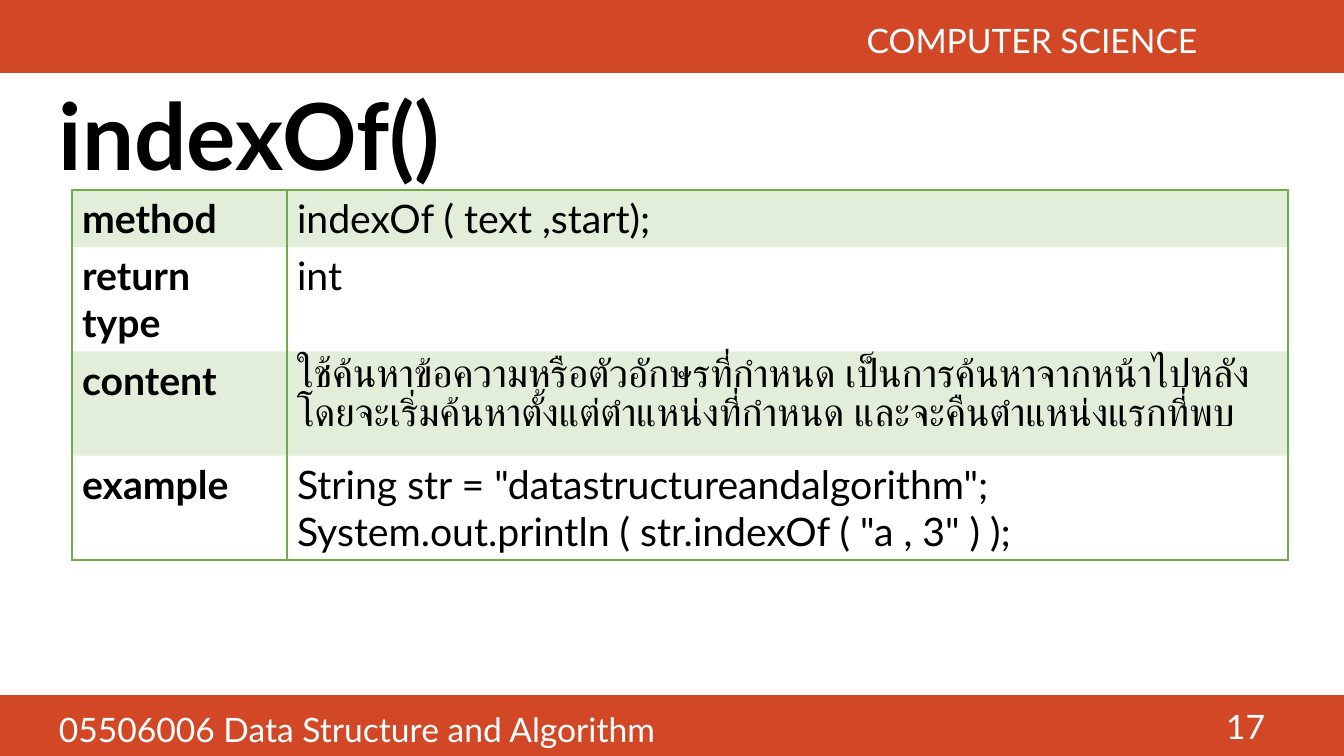
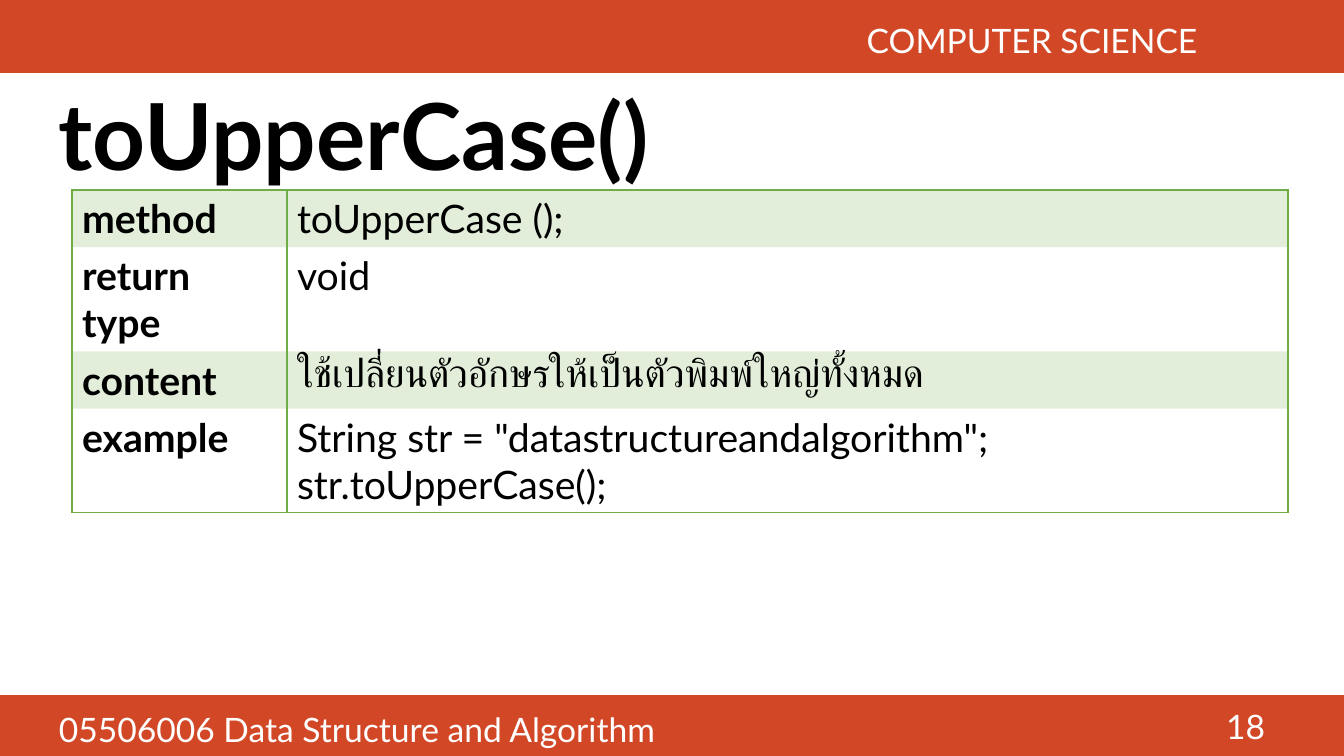
"""Build two slides that describe Java String methods."""
from dataclasses import dataclass

from lxml import etree
from pptx import Presentation
from pptx import util as u
from pptx.dml.color import RGBColor
from pptx.enum import shapes, text
from pptx.oxml import ns
from pptx.slide import Slide
from pptx.table import _Cell
from pptx.text.text import TextFrame

EMU_PER_PIXEL = 914400 / 100.8


@dataclass(frozen=True)
class Theme:
    font: str = "Lato"
    band: str = "D24726"
    accent: str = "70AD47"
    ink: str = "000000"
    paper: str = "FFFFFF"
    title_size: int = 66
    table_size: int = 28
    band_size: int = 24
    border_width: int = 1
    row_tint: int = 20


@dataclass(frozen=True)
class Box:
    left: int
    top: int
    width: int
    height: int

    def emu(self) -> tuple[u.Emu, ...]:
        return tuple(px(side) for side in (self.left, self.top, self.width, self.height))


@dataclass(frozen=True)
class Label:
    words: str
    box: Box
    align: text.PP_ALIGN = text.PP_ALIGN.LEFT
    anchor: text.MSO_ANCHOR = text.MSO_ANCHOR.TOP


@dataclass(frozen=True)
class Row:
    heading: str
    detail: str
    height: int


@dataclass(frozen=True)
class MethodPage:
    number: int
    title: str
    call: str
    returns: str
    content: str
    content_height: int
    example: str

    def rows(self) -> list[Row]:
        return [
            Row("method", self.call, 57),
            Row("return type", self.returns, 104),
            Row("content", self.content, self.content_height),
            Row("example", self.example, 104),
        ]


THEME = Theme()
SLIDE_WIDTH, SLIDE_HEIGHT = 1344, 756
TITLE_BOX = Box(49, 77, 1238, 128)
TABLE_LEFT, TABLE_TOP = 72, 190
COLUMN_WIDTHS = (215, 1001)
BANDS = (Box(0, 695, SLIDE_WIDTH, 61), Box(0, 0, SLIDE_WIDTH, 73))
BAND_LABELS = (
    Label("COMPUTER SCIENCE ", Box(-3, 15, 1219, 54), text.PP_ALIGN.RIGHT),
    Label("05506006 Data Structure and Algorithm", Box(49, 704, 1157, 67)),
)
NUMBER_BOX = Box(973, 706, 302, 40)
PAGES = (
    MethodPage(
        17, "indexOf()", "indexOf ( text ,start);", "int",
        "ใช้ค้นหาข้อความหรือตัวอักษรที่กำหนด เป็นการค้นหาจากหน้าไปหลัง "
        "โดยจะเริ่มค้นหาตั้งแต่ตำแหน่งที่กำหนด และจะคืนตำแหน่งแรกที่พบ",
        88,
        'String str = "datastructureandalgorithm";\n'
        'System.out.println ( str.indexOf ( "a , 3" ) );',
    ),
    MethodPage(
        18, "toUpperCase()", "toUpperCase ();", "void",
        "ใช้เปลี่ยนตัวอักษรให้เป็นตัวพิมพ์ใหญ่ทั้งหมด",
        57,
        'String str = "datastructureandalgorithm";\nstr.toUpperCase();',
    ),
)


def px(pixels: int) -> u.Emu:
    """Turn pixels into EMU."""
    return u.Emu(round(pixels * EMU_PER_PIXEL))


def write_text(frame: TextFrame, words: str, *, size: int, color: str = THEME.ink,
               bold: bool = False, align: text.PP_ALIGN = text.PP_ALIGN.LEFT,
               spacing: float = 1.0) -> None:
    """Fill a text frame, one paragraph a line, in one format."""
    for index, line in enumerate(words.split("\n")):
        paragraph = frame.add_paragraph() if index else frame.paragraphs[0]
        paragraph.alignment = align
        paragraph.line_spacing = spacing
        run = paragraph.add_run()
        run.text = line
        run.font.name = THEME.font
        run.font.size = u.Pt(size)
        run.font.bold = bold
        run.font.color.rgb = RGBColor.from_string(color)


def add_label(slide: Slide, label: Label, **text_format) -> None:
    """Place a wrapped text box."""
    frame = slide.shapes.add_textbox(*label.box.emu()).text_frame
    frame.word_wrap = True
    frame.vertical_anchor = label.anchor
    write_text(frame, label.words, align=label.align, **text_format)


def add_band(slide: Slide, box: Box) -> None:
    """Draw a full-width colour band."""
    shape = slide.shapes.add_shape(shapes.MSO_SHAPE.RECTANGLE, *box.emu())
    shape.shadow.inherit = False
    shape.fill.solid()
    shape.fill.fore_color.rgb = RGBColor.from_string(THEME.band)
    shape.line.fill.background()


def set_borders(cell: _Cell, visible: str) -> None:
    """Draw the named sides of a cell and clear the others."""
    properties = cell._tc.get_or_add_tcPr()
    for side in "LRTB":
        line = etree.SubElement(properties, ns.qn(f"a:ln{side}"),
                                w=str(u.Pt(THEME.border_width)))
        if side in visible:
            fill = etree.SubElement(line, ns.qn("a:solidFill"))
            etree.SubElement(fill, ns.qn("a:srgbClr"), val=THEME.accent)
        else:
            etree.SubElement(line, ns.qn("a:noFill"))


def set_tint(cell: _Cell, tinted: bool) -> None:
    """Give a cell the translucent accent fill or none."""
    if not tinted:
        cell.fill.background()
        return
    cell.fill.solid()
    cell.fill.fore_color.rgb = RGBColor.from_string(THEME.accent)
    color = cell._tc.tcPr.find(f"{ns.qn('a:solidFill')}/{ns.qn('a:srgbClr')}")
    etree.SubElement(color, ns.qn("a:alpha"), val=str(THEME.row_tint * 1000))


def add_method_table(slide: Slide, rows: list[Row]) -> None:
    """Draw the table of headings and details."""
    box = Box(TABLE_LEFT, TABLE_TOP, sum(COLUMN_WIDTHS), sum(row.height for row in rows))
    table = slide.shapes.add_table(len(rows), len(COLUMN_WIDTHS), *box.emu()).table
    table.first_row = table.horz_banding = False
    for column, width in zip(table.columns, COLUMN_WIDTHS):
        column.width = px(width)
    for index, row in enumerate(rows):
        table.rows[index].height = px(row.height)
        top = "T" if index == 0 else ""
        bottom = "B" if index == len(rows) - 1 else ""
        for position, words in enumerate((row.heading, row.detail)):
            cell = table.cell(index, position)
            set_borders(cell, "LR" + top + bottom)
            set_tint(cell, index % 2 == 0)
            write_text(cell.text_frame, words, size=THEME.table_size, bold=position == 0)


def add_page(presentation: Presentation, page: MethodPage) -> None:
    """Build one method slide."""
    slide = presentation.slides.add_slide(presentation.slide_layouts[6])
    title = Label(page.title, TITLE_BOX, anchor=text.MSO_ANCHOR.MIDDLE)
    add_label(slide, title, size=THEME.title_size, bold=True, spacing=0.9)
    for band in BANDS:
        add_band(slide, band)
    number = Label(str(page.number), NUMBER_BOX, text.PP_ALIGN.RIGHT, text.MSO_ANCHOR.MIDDLE)
    for label in (*BAND_LABELS, number):
        add_label(slide, label, size=THEME.band_size, color=THEME.paper)
    add_method_table(slide, page.rows())


def main() -> None:
    """Build and save the presentation."""
    presentation = Presentation()
    presentation.slide_width = px(SLIDE_WIDTH)
    presentation.slide_height = px(SLIDE_HEIGHT)
    for page in PAGES:
        add_page(presentation, page)
    presentation.save("out.pptx")


main()
